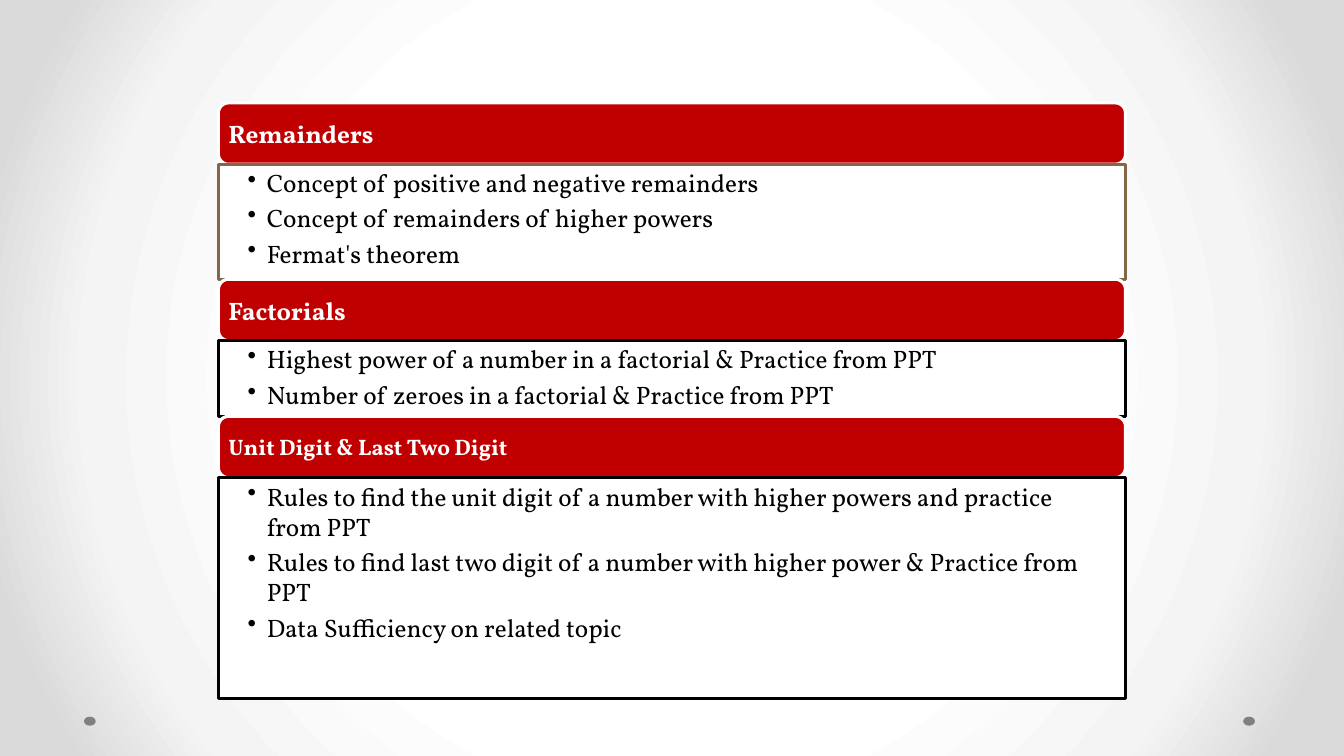
from lxml.etree import SubElement
from pptx import Presentation
from pptx.dml.color import RGBColor
from pptx.enum.shapes import MSO_SHAPE
from pptx.enum.text import MSO_ANCHOR, PP_ALIGN
from pptx.oxml import parse_xml
from pptx.oxml.ns import nsdecls, qn
from pptx.util import Inches, Pt

RED = RGBColor(0xC0, 0x00, 0x00)
WHITE = RGBColor(0xFF, 0xFF, 0xFF)
BLACK = RGBColor(0x00, 0x00, 0x00)
BROWN = RGBColor(0x84, 0x66, 0x48)
GRAY = RGBColor(0x80, 0x80, 0x80)
PALE = RGBColor(0xF4, 0xF4, 0xF4)
SILVER = RGBColor(0xDA, 0xDA, 0xDA)

COLUMNS, ROWS = 80, 75
LIST_LEFT, LIST_WIDTH = 13, 54
LIST_TOP, HEADING_HEIGHT = 10.2, 6.1

TOPICS = [
    ("Remainders", 18, BROWN, 11.4, [
        "Concept of positive and negative remainders",
        "Concept of remainders of higher powers",
        "Fermat's theorem",
    ]),
    ("Factorials", 18, BLACK, 7.5, [
        "Highest power of a number in a factorial & Practice from PPT",
        "Number of zeroes in a factorial & Practice from PPT",
    ]),
    ("Unit Digit & Last Two Digit", 16, BLACK, 21.9, [
        "Rules to find the unit digit of a number with higher powers and practice from PPT",
        "Rules to find last two digit of a number with higher power & Practice from PPT",
        "Data Sufficiency on related topic",
    ]),
]


def write(paragraph, text, font="Vollkorn", size=18, color=BLACK, bold=False, space=0.2):
    paragraph.alignment = PP_ALIGN.LEFT
    paragraph.space_after = Pt(size * space)
    run = paragraph.add_run()
    run.text = text
    run.font.name = font
    run.font.size = Pt(size)
    run.font.bold = bold
    run.font.color.rgb = color


def add_bullet(paragraph, indent=Inches(0.19)):
    paragraph.level = 1
    properties = paragraph._p.get_or_add_pPr()
    properties.set("marL", str(indent))
    properties.set("indent", str(-indent))
    SubElement(properties, qn("a:buChar")).set("char", "•")


class TopicSlide:
    def __init__(self, presentation):
        self.slide = presentation.slides.add_slide(presentation.slide_layouts[6])
        self.column = presentation.slide_width / COLUMNS
        self.row = presentation.slide_height / ROWS

    def background(self, stops):
        self.slide.background.fill.gradient()
        gradient = self.slide.element.find(".//" + qn("a:gradFill"))
        stop_list = "".join(
            f'<a:gs pos="{share * 1000}"><a:srgbClr val="{color}"/></a:gs>'
            for share, color in stops
        )
        gradient.getparent().replace(gradient, parse_xml(
            f'<a:gradFill {nsdecls("a")} rotWithShape="1"><a:gsLst>{stop_list}</a:gsLst>'
            '<a:path path="circle"><a:fillToRect l="50000" t="50000" r="50000" b="50000"/>'
            '</a:path></a:gradFill>'
        ))

    def box(self, kind, left, top, width, height, fill, line=None):
        shape = self.slide.shapes.add_shape(
            kind, round(left * self.column), round(top * self.row),
            round(width * self.column), round(height * self.row),
        )
        shape.shadow.inherit = False
        shape.fill.solid()
        shape.fill.fore_color.rgb = fill
        if line is None:
            shape.line.fill.background()
        else:
            shape.line.color.rgb = line
            shape.line.width = Pt(2.25)
        return shape

    def text_frame(self, shape, anchor, left, right, vertical):
        frame = shape.text_frame
        frame.word_wrap = True
        frame.vertical_anchor = anchor
        frame.margin_left, frame.margin_right = Inches(left), Inches(right)
        frame.margin_top = frame.margin_bottom = Inches(vertical)
        return frame

    def dot(self, left):
        self.box(MSO_SHAPE.OVAL, left, 71.1, 0.7, 0.9, GRAY)

    def heading(self, text, top, size):
        shape = self.box(MSO_SHAPE.ROUNDED_RECTANGLE, LIST_LEFT, top,
                         LIST_WIDTH, HEADING_HEIGHT, RED, WHITE)
        frame = self.text_frame(shape, MSO_ANCHOR.MIDDLE, 0.07, 0.07, 0.07)
        write(frame.paragraphs[0], text, size=size, color=WHITE, bold=True, space=0.35)

    def bullets(self, items, top, height, line):
        shape = self.box(MSO_SHAPE.RECTANGLE, LIST_LEFT, top,
                         LIST_WIDTH, height, WHITE, line)
        frame = self.text_frame(shape, MSO_ANCHOR.TOP, 0.29, 0.14, 0.03)
        for index, item in enumerate(items):
            paragraph = frame.add_paragraph() if index else frame.paragraphs[0]
            write(paragraph, item)
            add_bullet(paragraph)


def main():
    presentation = Presentation()
    presentation.slide_width = Inches(13.33)
    presentation.slide_height = Inches(7.5)
    topic_slide = TopicSlide(presentation)
    topic_slide.background([(50, WHITE), (76, PALE), (92, SILVER)])
    for left in (74, 5):
        topic_slide.dot(left)
    top = LIST_TOP
    for title, size, line, height, items in TOPICS:
        topic_slide.heading(title, top, size)
        top += HEADING_HEIGHT
        topic_slide.bullets(items, top, height, line)
        top += height
    presentation.save("out.pptx")


if __name__ == "__main__":
    main()
